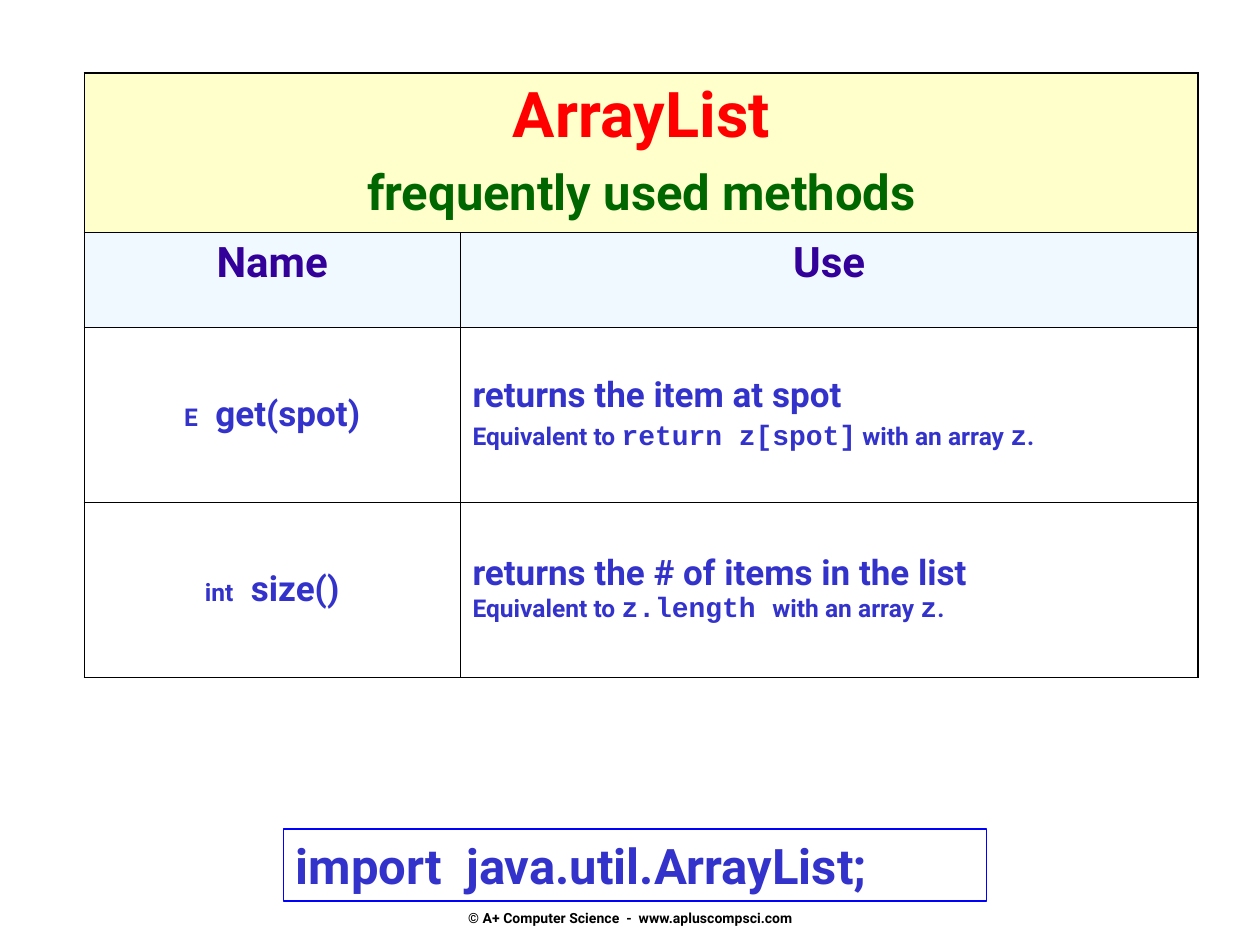
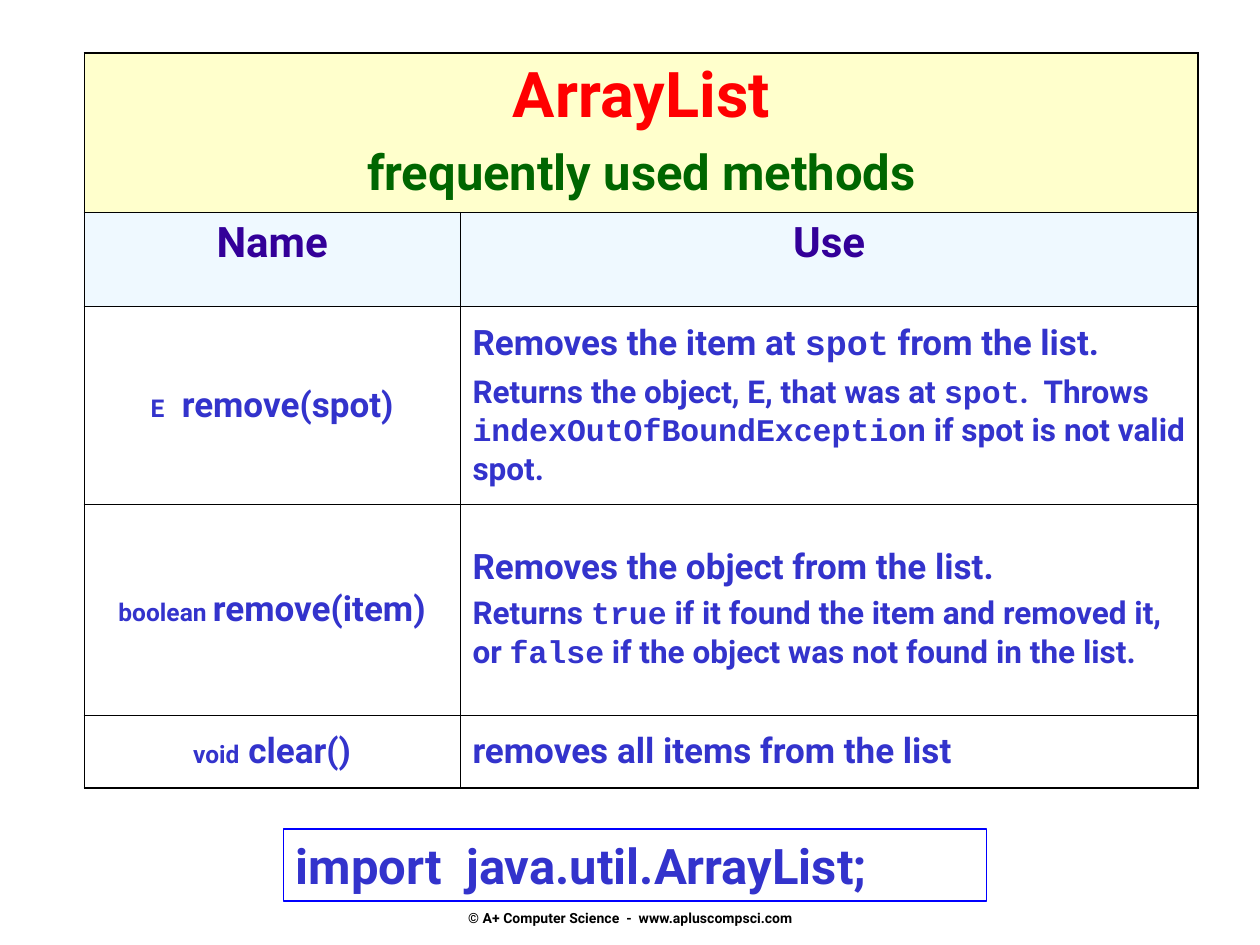
"""Build two slides that list frequently used ArrayList methods."""
from dataclasses import dataclass

from lxml.etree import SubElement
from pptx import Presentation
from pptx.dml.color import RGBColor
from pptx.enum.shapes import MSO_SHAPE as Form
from pptx.enum.text import MSO_ANCHOR as Anchor, PP_ALIGN as Align
from pptx.oxml.ns import qn
from pptx.util import Inches, Pt

RED = RGBColor(0xFF, 0x00, 0x00)
GREEN = RGBColor(0x00, 0x66, 0x00)
PURPLE = RGBColor(0x33, 0x00, 0x99)
INDIGO = RGBColor(0x33, 0x33, 0xCC)
BLUE = RGBColor(0x00, 0x00, 0xFF)
BLACK = RGBColor(0x00, 0x00, 0x00)
CREAM = RGBColor(0xFF, 0xFF, 0xCC)
SKY = RGBColor(0xE1, 0xF4, 0xFF)

SANS, MONO = "Roboto", "Courier New"
THIN, THICK = 0.45, 1.08
COLS = (2.98, 5.86)
PLAIN = "{2D5ABB26-0587-4C30-8999-92F81FD0307C}"


@dataclass(frozen=True)
class Bit:
    """A run of text; size or face is set only where it differs from its line."""
    text: str
    size: float | None = None
    face: str | None = None


@dataclass(frozen=True)
class Line:
    """A paragraph with its shared font."""
    bits: tuple[Bit, ...]
    size: float = 20
    color: RGBColor = INDIGO
    gap: float = 0
    align: Align = Align.LEFT


@dataclass(frozen=True)
class Method:
    """A table row for one method."""
    kind: str
    name: str
    use: tuple[Line, ...]
    height: float


@dataclass(frozen=True)
class Page:
    """A slide with its table of methods."""
    top: float
    edge: float
    rows: tuple[Method, ...]


def text(words: str, size: float = 20, color: RGBColor = INDIGO,
         gap: float = 0, align: Align = Align.LEFT) -> Line:
    """Make a line of one run."""
    return Line((Bit(words),), size, color, gap, align)


def mixed(size: float, code: float, gap: float, *words: str) -> Line:
    """Make a line whose every second part is code."""
    bits = tuple(Bit(word, code if i % 2 and code != size else None,
                     MONO if i % 2 else None) for i, word in enumerate(words))
    return Line(bits, size, gap=gap)


def write(frame, lines: tuple[Line, ...]) -> None:
    """Fill a text frame with lines."""
    for i, line in enumerate(lines):
        para = frame.add_paragraph() if i else frame.paragraphs[0]
        para.alignment = line.align
        if i:
            para.space_before = Pt(line.gap)
        font = para.font
        font.name, font.size, font.bold = SANS, Pt(line.size), True
        font.color.rgb = line.color
        for bit in line.bits:
            run = para.add_run()
            run.text = bit.text
            if bit.size:
                run.font.size = Pt(bit.size)
            if bit.face:
                run.font.name = bit.face


def border(cell, widths: dict[str, float]) -> None:
    """Draw the four sides of a cell."""
    props = cell._tc.get_or_add_tcPr()
    for i, (side, width) in enumerate(widths.items()):
        rule = SubElement(props, qn(f"a:ln{side}"), w=str(int(Pt(width))))
        fill = SubElement(rule, qn("a:solidFill"))
        SubElement(fill, qn("a:srgbClr"), val=str(BLACK))
        props.insert(i, rule)


def paint(cell, color: RGBColor, alpha: int = 100) -> None:
    """Fill a cell, at the given percent of opacity."""
    cell.fill.solid()
    cell.fill.fore_color.rgb = color
    if alpha < 100:
        tone = cell._tc.tcPr.find(f".//{qn('a:srgbClr')}")
        SubElement(tone, qn("a:alpha"), val=str(alpha * 1000))


def draw_grid(slide, page: Page) -> None:
    """Draw the table of methods."""
    heights = (1.26, 0.75, *(row.height for row in page.rows))
    last = len(heights) - 1
    grid = slide.shapes.add_table(
        len(heights), 2, Inches(0.67), Inches(page.top),
        Inches(sum(COLS)), Inches(sum(heights))).table
    grid.first_row = grid.horz_banding = False
    grid._tbl.tblPr.find(qn("a:tableStyleId")).text = PLAIN
    for col, width in zip(grid.columns, COLS):
        col.width = Inches(width)
    for row, height in zip(grid.rows, heights):
        row.height = Inches(height)
    head = grid.cell(0, 0)
    head.merge(grid.cell(0, 1))
    write(head.text_frame, (
        text("ArrayList", 36, RED, align=Align.CENTER),
        text("frequently used methods", 28, GREEN, 7, Align.CENTER)))
    for j, label in enumerate(("Name", "Use")):
        write(grid.cell(1, j).text_frame,
              (text(label, 24, PURPLE, align=Align.CENTER),))
    for i, item in enumerate(page.rows, 2):
        name = Line((Bit(item.kind, 14), Bit(item.name)), align=Align.CENTER)
        for j, lines in enumerate(((name,), item.use)):
            cell = grid.cell(i, j)
            cell.vertical_anchor = Anchor.MIDDLE
            write(cell.text_frame, lines)
    for i in range(last + 1):
        for j in range(2):
            cell = grid.cell(i, j)
            if i == 0:
                paint(cell, CREAM)
            elif i == 1:
                paint(cell, SKY, 50)
            else:
                cell.fill.background()
            border(cell, {"L": THIN if j else THICK,
                          "R": THICK if j or i == 0 else THIN,
                          "T": THIN if i else THICK,
                          "B": page.edge if i == last else THIN})


def draw_foot(slide) -> None:
    """Draw the copyright line."""
    box = slide.shapes.add_textbox(
        Inches(3.42), Inches(7.14), Inches(3.17), Inches(0.29))
    box.text_frame.word_wrap = False
    box.text_frame.vertical_anchor = Anchor.MIDDLE
    write(box.text_frame, (text("© A+ Computer Science  -  www.apluscompsci.com",
                                8, BLACK, align=Align.CENTER),))


def draw_code(slide) -> None:
    """Draw the framed import statement."""
    box = slide.shapes.add_shape(
        Form.RECTANGLE, Inches(2.25), Inches(6.58), Inches(5.58), Inches(0.57))
    box.shadow.inherit = False
    box.fill.background()
    box.line.color.rgb = BLUE
    box.line.width = Pt(1)
    box.text_frame.word_wrap = True
    box.text_frame.vertical_anchor = Anchor.TOP
    write(box.text_frame, (text("import  java.util.ArrayList;", 28),))


PAGES = (
    Page(0.58, THIN, (
        Method("E", "  get(spot)", (
            text("returns the item at spot"),
            mixed(14, 16, 3.5, "Equivalent to ", "return z[spot]",
                  " with an array ", "z", ".")), 1.39),
        Method("int", "  size()", (
            text("returns the # of items in the list"),
            mixed(14, 16, 0.3, "Equivalent to ", "z.length ",
                  "with an array ", "z", ".")), 1.39))),
    Page(0.42, THICK, (
        Method("E", "  remove(spot)", (
            mixed(20, 20, 0, "Removes the item at ", "spot", " from the list."),
            mixed(18, 18, 4.5, "Returns the object, E, that was at ", "spot",
                  ".  Throws ", "indexOutOfBoundException",
                  " if spot is not valid spot.")), 1.57),
        Method("boolean ", "remove(item)", (
            text("Removes the object from the list."),
            mixed(18, 18, 4.5, "Returns ", "true",
                  " if it found the item and removed it, or ", "false",
                  " if the object was not found in the list.")), 1.67),
        Method("void", " clear()",
               (text("removes all items from the list"),), 0.58))),
)


def main() -> None:
    """Build and save the deck."""
    deck = Presentation()
    deck.slide_width, deck.slide_height = Inches(10), Inches(7.5)
    for page in PAGES:
        slide = deck.slides.add_slide(deck.slide_layouts[6])
        draw_foot(slide)
        draw_grid(slide, page)
        draw_code(slide)
    deck.save("out.pptx")


if __name__ == "__main__":
    main()
